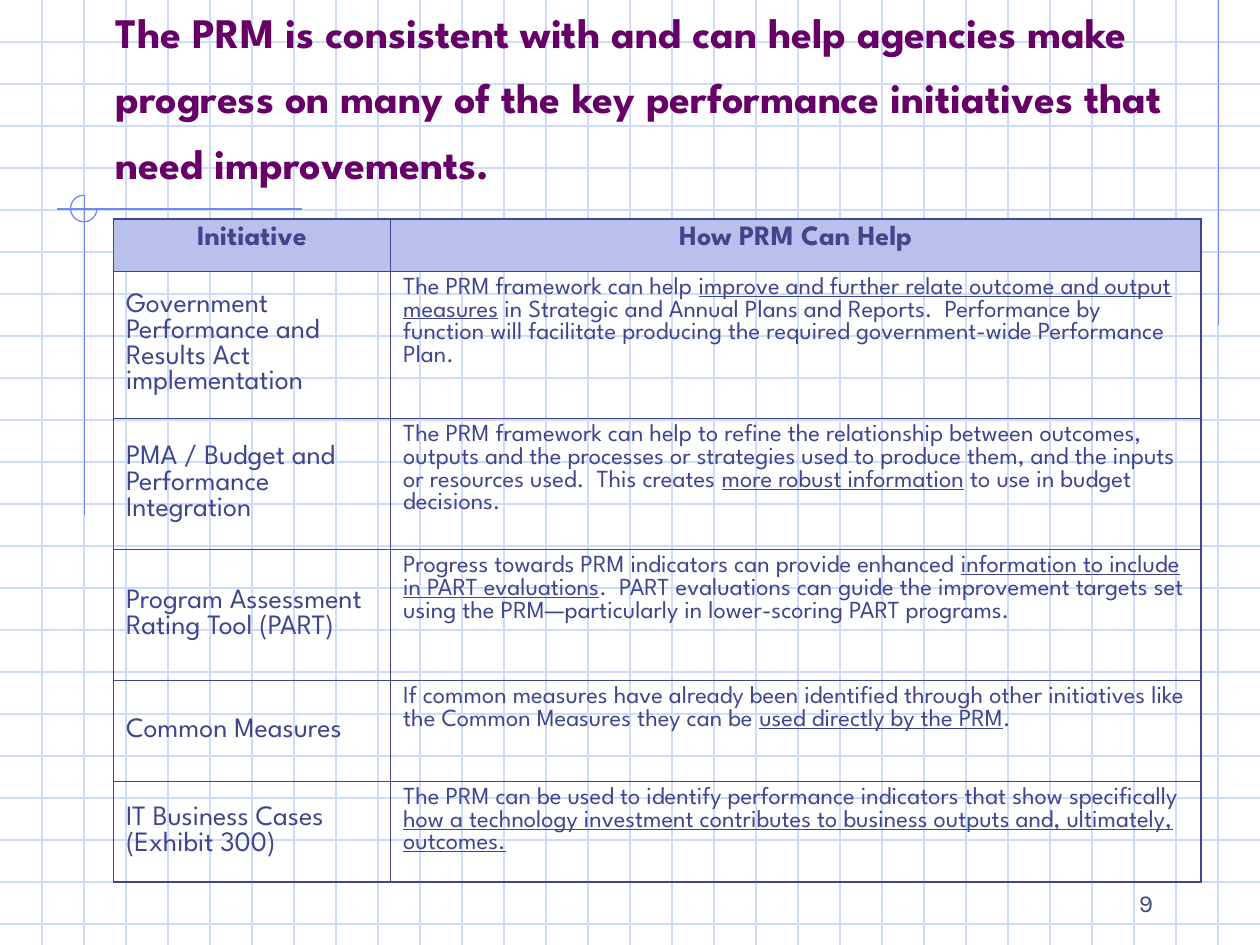
from dataclasses import dataclass
from typing import NamedTuple

from lxml.etree import SubElement
from pptx import Presentation
from pptx.dml.color import RGBColor
from pptx.enum.shapes import MSO_CONNECTOR, MSO_SHAPE
from pptx.enum.text import MSO_ANCHOR as Anchor, PP_ALIGN as Align
from pptx.oxml.ns import qn
from pptx.util import Inches, Pt

GRID_BLUE = RGBColor(0xCF, 0xDB, 0xFD)
ACCENT_BLUE = RGBColor(0x6F, 0x89, 0xF7)
PURPLE = RGBColor(0x66, 0x00, 0x66)
INDIGO = RGBColor(0x40, 0x45, 0x8C)
HEADER_FILL = RGBColor(0xB7, 0xC1, 0xEB)
SPARTAN = "League Spartan"
WIDTH, HEIGHT = 10, 7.5
THICK, THIN = Pt(1.08), Pt(0.45)


class Line(NamedTuple):
    x1: float
    y1: float
    x2: float
    y2: float


@dataclass
class Initiative:
    name: str
    before: str
    underlined: str
    after: str
    height: float


ACCENT_LINES = [
    Line(9.67, 0, 9.67, 2.58),
    Line(2.4, 1.66, 0.45, 1.66),
    Line(0.67, 1.55, 0.67, 4.09),
]

INITIATIVES = [
    Initiative(
        "Government Performance and Results Act implementation",
        "The PRM framework can help ",
        "improve and further relate outcome and output measures",
        " in Strategic and Annual Plans and Reports.  Performance by function will "
        "facilitate producing the required government-wide Performance Plan.",
        1.17,
    ),
    Initiative(
        "PMA / Budget and Performance Integration",
        "The PRM framework can help to refine the relationship between outcomes, "
        "outputs and the processes or strategies used to produce them, and the "
        "inputs or resources used.  This creates ",
        "more robust information",
        " to use in budget decisions.",
        1.04,
    ),
    Initiative(
        "Program Assessment Rating Tool (PART)",
        "Progress towards PRM indicators can provide enhanced ",
        "information to include in PART evaluations",
        ".  PART evaluations can guide the improvement targets set using the "
        "PRM—particularly in lower-scoring PART programs.",
        1.04,
    ),
    Initiative(
        "Common Measures",
        "If common measures have already been identified through other initiatives "
        "like the Common Measures they can be ",
        "used directly by the PRM",
        ".",
        0.8,
    ),
    Initiative(
        "IT Business Cases (Exhibit 300)",
        "The PRM can be used to identify performance indicators that show specifically ",
        "how a technology investment contributes to business outputs and, "
        "ultimately, outcomes.",
        "",
        0.8,
    ),
]


def write(paragraph, text: str, *, size: float, color=INDIGO, font=SPARTAN,
          bold=False, underline=False, align=Align.LEFT) -> None:
    paragraph.alignment = align
    run = paragraph.add_run()
    run.text = text
    run.font.name = font
    run.font.size = Pt(size)
    run.font.bold = bold
    run.font.underline = underline
    run.font.color.rgb = color


def add_line(slide, line: Line, color: RGBColor) -> None:
    connector = slide.shapes.add_connector(
        MSO_CONNECTOR.STRAIGHT, *(Inches(value) for value in line))
    connector.line.color.rgb = color
    connector.line.width = Pt(0.75)
    SubElement(connector._element.spPr, qn("a:effectLst"))


def add_background(slide) -> None:
    for step in range(1, 23):
        add_line(slide, Line(0, step / 3, WIDTH, step / 3), GRID_BLUE)
    for step in range(1, 30):
        add_line(slide, Line(step / 3, 0, step / 3, HEIGHT), GRID_BLUE)
    for line in ACCENT_LINES:
        add_line(slide, line, ACCENT_BLUE)
    arc = slide.shapes.add_shape(
        MSO_SHAPE.ARC, Inches(0.56), Inches(1.55), Inches(0.21), Inches(0.21))
    arc.adjustments[0] = 0
    arc.adjustments[1] = 162
    arc.shadow.inherit = False
    arc.fill.background()
    arc.line.color.rgb = ACCENT_BLUE
    arc.line.width = Pt(0.75)


def add_text_box(slide, left: float, top: float, width: float, height: float):
    box = slide.shapes.add_textbox(
        Inches(left), Inches(top), Inches(width), Inches(height))
    box.text_frame.word_wrap = True
    box.text_frame.vertical_anchor = Anchor.BOTTOM
    return box.text_frame.paragraphs[0]


def set_borders(cell, left: int, right: int, top: int, bottom: int) -> None:
    properties = cell._tc.get_or_add_tcPr()
    for side, width in zip("LRTB", (left, right, top, bottom)):
        border = SubElement(properties, qn(f"a:ln{side}"), w=str(int(width)))
        fill = SubElement(border, qn("a:solidFill"))
        SubElement(fill, qn("a:srgbClr"), val=str(INDIGO))


def add_table(slide) -> None:
    heights = [0.41] + [initiative.height for initiative in INITIATIVES]
    widths = [2.2, 6.43]
    table = slide.shapes.add_table(
        len(heights), len(widths), Inches(0.9), Inches(1.74),
        Inches(sum(widths)), Inches(sum(heights))).table
    table.horz_banding = False
    table.first_row = False
    for column, width in zip(table.columns, widths):
        column.width = Inches(width)
    for row, height in zip(table.rows, heights):
        row.height = Inches(height)

    last = len(heights) - 1
    for index, row in enumerate(table.rows):
        for column, cell in enumerate(row.cells):
            set_borders(
                cell,
                THIN if column else THICK,
                THICK if column else THIN,
                THIN if index else THICK,
                THICK if index == last else THIN,
            )
            if index:
                cell.fill.background()
            else:
                cell.fill.solid()
                cell.fill.fore_color.rgb = HEADER_FILL

    for column, heading in enumerate(("Initiative", "How PRM Can Help")):
        write(table.cell(0, column).text_frame.paragraphs[0], heading,
              size=16, bold=True, align=Align.CENTER)
    for index, initiative in enumerate(INITIATIVES, 1):
        name_cell, help_cell = table.rows[index].cells
        name_cell.vertical_anchor = Anchor.MIDDLE
        write(name_cell.text_frame.paragraphs[0], initiative.name, size=16)
        paragraph = help_cell.text_frame.paragraphs[0]
        write(paragraph, initiative.before, size=14)
        write(paragraph, initiative.underlined, size=14, underline=True)
        if initiative.after:
            write(paragraph, initiative.after, size=14)


def main() -> None:
    presentation = Presentation()
    presentation.slide_width = Inches(WIDTH)
    presentation.slide_height = Inches(HEIGHT)
    slide = presentation.slides.add_slide(presentation.slide_layouts[6])
    add_background(slide)
    title = add_text_box(slide, 0.82, 0.58, 8.84, 0.96)
    title.line_spacing = 1.3
    write(title, "The PRM is consistent with and can help agencies make progress on "
          "many of the key performance initiatives that need improvements.",
          size=24, color=PURPLE, bold=True)
    add_table(slide)
    page_number = add_text_box(slide, 7.17, 6.83, 2.08, 0.5)
    write(page_number, "9", size=14, font="Karla", align=Align.RIGHT)
    presentation.save("out.pptx")


if __name__ == "__main__":
    main()
